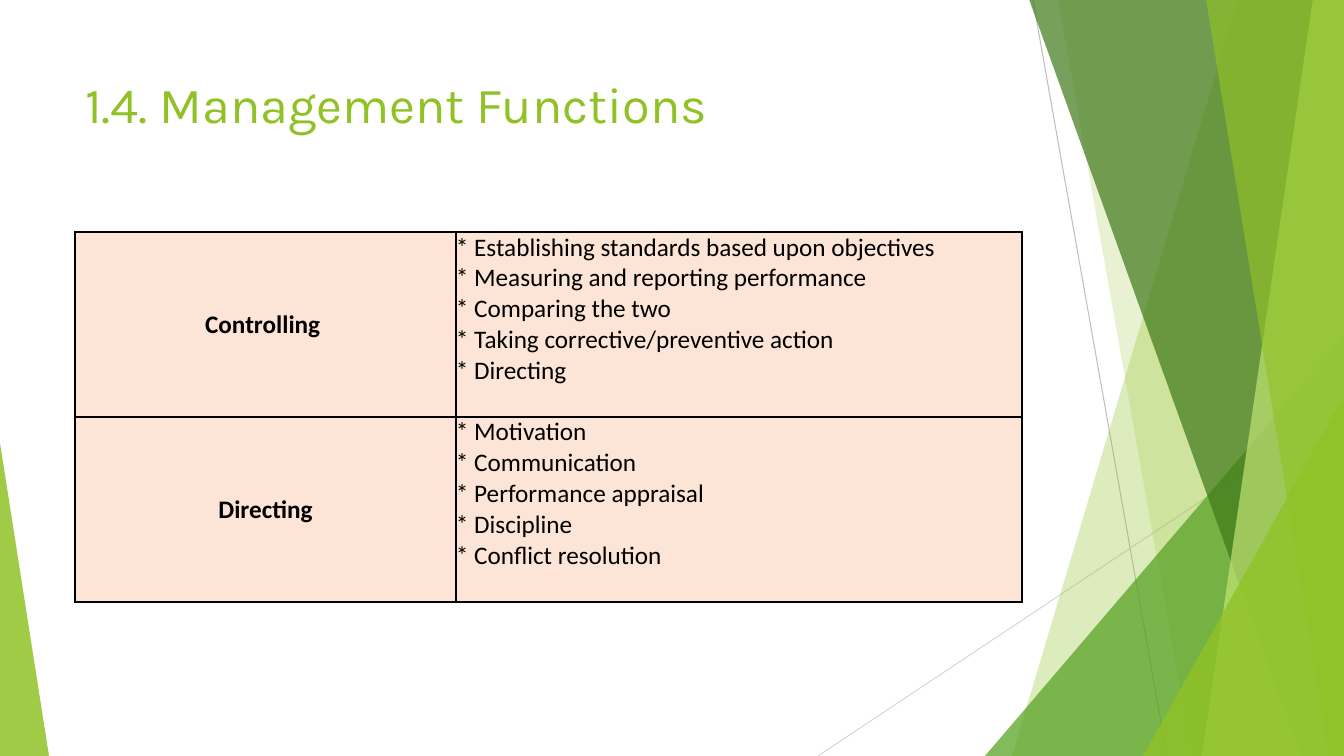
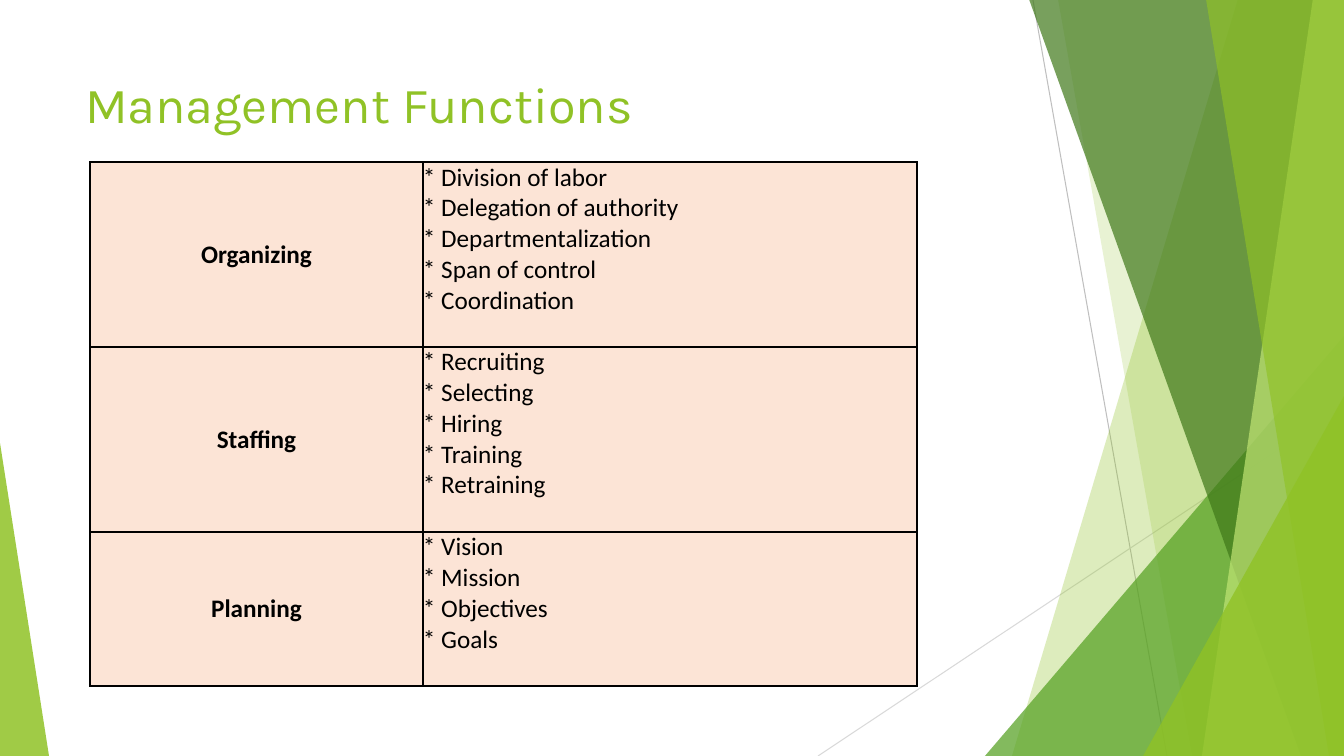
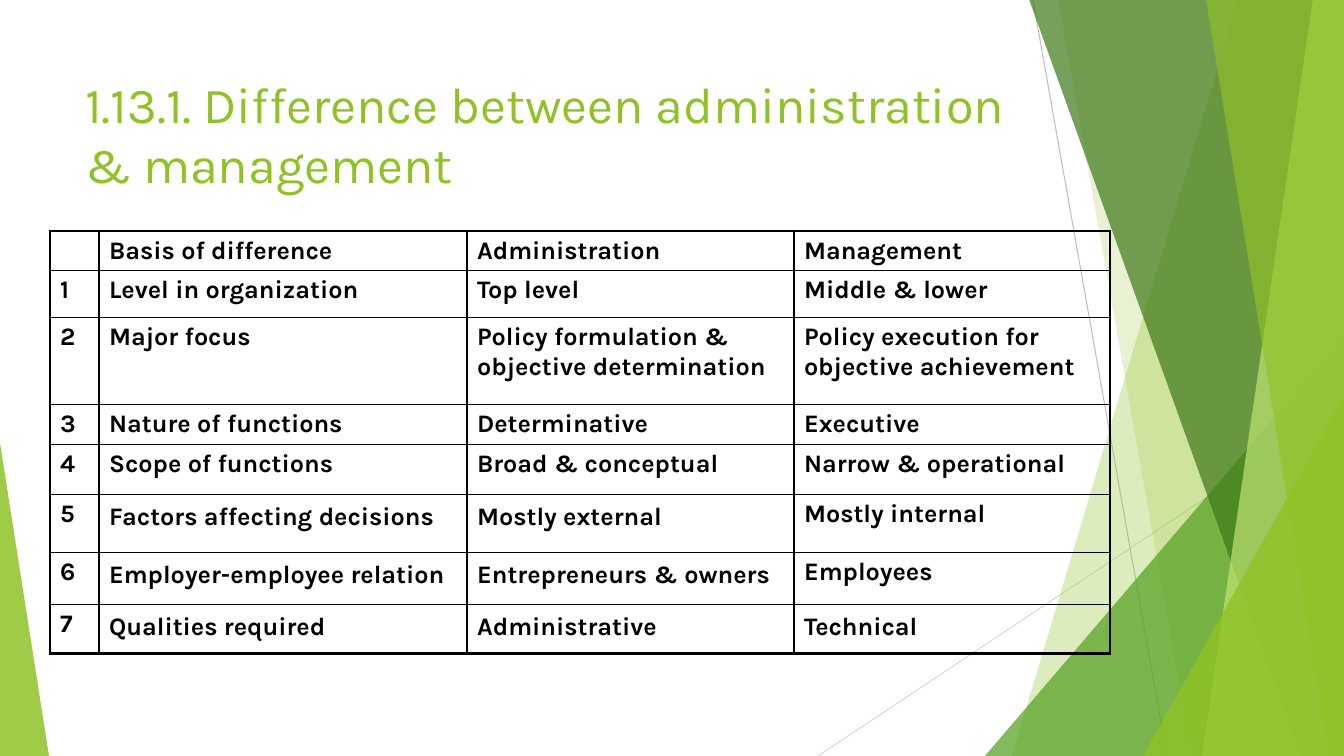
from lxml.etree import SubElement
from pptx import Presentation
from pptx.dml.color import RGBColor
from pptx.enum.shapes import MSO_CONNECTOR, MSO_SHAPE
from pptx.enum.text import MSO_ANCHOR, MSO_AUTO_SIZE, PP_ALIGN
from pptx.oxml import parse_xml
from pptx.oxml.ns import nsdecls, qn
from pptx.util import Pt

SCALE = 914400 / 100.8
WIDE, HIGH = 1344, 756
LIME, LEAF, MOSS, PALE = "90C226", "54A021", "3F7819", "C0E474"
INK, PEACH = "000000", "FCE4D6"


def px(size):
    return round(size * SCALE)


def paint(fill, code):
    fill.solid()
    fill.fore_color.rgb = RGBColor.from_string(code)


class Deck:
    def __init__(self):
        self.show = Presentation()
        self.show.slide_width = px(WIDE)
        self.show.slide_height = px(HIGH)
        self.layout = self.show.slide_layouts[5]

    def page(self, title, high=145):
        self.slide = self.show.slides.add_slide(self.layout)
        box = self.slide.shapes.title
        box.left, box.top, box.width, box.height = map(px, (75, 68, 948, high))
        frame = box.text_frame
        frame.auto_size = MSO_AUTO_SIZE.NONE
        frame.word_wrap = True
        frame.vertical_anchor = MSO_ANCHOR.TOP
        para = frame.paragraphs[0]
        para.alignment = PP_ALIGN.LEFT
        self.run(para, title, "Karla", 36, LIME)

    def run(self, para, text, face, size=18, code=INK, bold=False):
        run = para.add_run()
        run.text = text
        run.font.name = face
        run.font.size = Pt(size)
        run.font.bold = bold
        paint(run.font.fill, code)

    def tint(self, shape, code, alpha):
        shape.shadow.inherit = False
        shape.line.fill.background()
        paint(shape.fill, code)
        color = shape.element.find(".//" + qn("a:srgbClr"))
        SubElement(color, qn("a:alpha")).set("val", str(alpha * 1000))

    def line(self, group, ends, code):
        line = group.shapes.add_connector(MSO_CONNECTOR.STRAIGHT, *map(px, ends))
        paint(line.line.fill, code)
        line.line.width = Pt(0.75)
        SubElement(line.element.find(qn("p:spPr")), qn("a:effectLst"))

    def band(self, group, top, foot, code, alpha):
        pen = group.shapes.build_freeform(px(top), px(-1))
        spots = ((WIDE, -1), (WIDE, HIGH), (foot, HIGH))
        pen.add_line_segments([(px(x), px(y)) for x, y in spots])
        self.tint(pen.convert_to_shape(), code, alpha)

    def peak(self, group, left, top, width, tip, code, alpha):
        area = map(px, (left, top, width, HIGH - top))
        shape = group.shapes.add_shape(MSO_SHAPE.ISOSCELES_TRIANGLE, *area)
        shape.adjustments[0] = tip
        self.tint(shape, code, alpha)

    def decor(self):
        group = self.slide.shapes.add_group_shape()
        self.line(group, (1033, 0, 1167, HIGH), "BFBFBF")
        self.line(group, (WIDE, 406, 818, HIGH), "D9D9D9")
        self.band(group, 1238, 1012, LIME, 30)
        self.band(group, 1058, 1192, LIME, 20)
        self.peak(group, 985, 336, 359, 1, LEAF, 72)
        self.band(group, 1029, 1301, MOSS, 70)
        self.band(group, 1313, 1202, PALE, 70)
        self.band(group, 1206, 1329, LIME, 65)
        self.peak(group, 1143, 396, 201, 1, LIME, 80)
        self.peak(group, 0, 443, 49, 0, LIME, 85)
        self.layout.shapes.element.insert(2, group.element)

    def grid(self, left, top, cols, rows):
        area = map(px, (left, top, sum(cols), sum(rows)))
        shape = self.slide.shapes.add_table(len(rows), len(cols), *area)
        table = shape.table
        table.first_row = table.horz_banding = False
        for col, width in zip(table.columns, cols):
            col.width = px(width)
        for row, high in zip(table.rows, rows):
            row.height = px(high)
        return shape

    def rule(self, shape, thin, thick):
        wide, high = len(shape.table.columns), len(shape.table.rows)
        for index, cell in enumerate(shape.element.iter(qn("a:tcPr"))):
            row, col = divmod(index, wide)
            edges = {"L": col == 0, "R": col == wide - 1,
                     "T": row == 0, "B": row == high - 1}
            for place, (side, outer) in enumerate(edges.items()):
                width = Pt(thick if outer else thin)
                cell.insert(place, parse_xml(
                    f'<a:ln{side} {nsdecls("a")} w="{width}"><a:solidFill>'
                    f'<a:srgbClr val="{INK}"/></a:solidFill></a:ln{side}>'))

    def duties(self, left, top, cols, rows, items):
        shape = self.grid(left, top, cols, rows)
        for row, (name, tasks) in zip(shape.table.rows, items):
            head, body = row.cells
            for cell in row.cells:
                paint(cell.fill, PEACH)
                cell.margin_left = cell.margin_right = 0
                cell.margin_top = cell.margin_bottom = 0
            head.vertical_anchor = MSO_ANCHOR.MIDDLE
            para = head.text_frame.paragraphs[0]
            para.alignment = PP_ALIGN.CENTER
            self.run(para, name, "Calibri", bold=True)
            frame = body.text_frame
            for index, task in enumerate(tasks):
                para = frame.add_paragraph() if index else frame.paragraphs[0]
                self.run(para, "* " + task, "Calibri")
        self.rule(shape, 1.2, 1.2)

    def matrix(self, left, top, cols, rows, items):
        shape = self.grid(left, top, cols, rows)
        for row, texts in zip(shape.table.rows, items):
            for cell, text in zip(row.cells, texts):
                cell.fill.background()
                para = cell.text_frame.paragraphs[0]
                self.run(para, text.rstrip(), "Karla", bold=True)
                if text.endswith(" "):
                    self.run(para, " ", "Karla", 20)
        self.rule(shape, 1, 2.25)


def main():
    deck = Deck()
    deck.page("1.4. Management Functions", 100)
    deck.decor()
    deck.duties(75, 232, (381, 566), (185, 185), (
        ("Controlling ", ("Establishing standards based upon objectives",
                          "Measuring and reporting performance",
                          "Comparing the two",
                          "Taking corrective/preventive action",
                          "Directing")),
        ("Directing", ("Motivation", "Communication", "Performance appraisal",
                       "Discipline", "Conflict resolution")),
    ))

    deck.page("Management Functions")
    deck.duties(90, 162, (333, 494), (185, 185, 154), (
        ("Organizing", ("Division of labor", "Delegation of authority",
                        "Departmentalization", "Span of control",
                        "Coordination")),
        ("Staffing", ("Recruiting", "Selecting", "Hiring", "Training",
                      "Retraining")),
        ("Planning", ("Vision", "Mission", "Objectives", "Goals")),
    ))

    deck.page("1.13.1. Difference between administration & management")
    deck.matrix(50, 231, (49, 368, 327, 316), (39, 47, 87, 39, 50, 58, 52, 49), (
        ("", "Basis of difference", "Administration", "Management"),
        ("1", "Level in organization", "Top level", "Middle & lower"),
        ("2", "Major focus", "Policy formulation & objective determination",
         "Policy execution for objective achievement"),
        ("3", "Nature of functions", "Determinative", "Executive"),
        ("4", "Scope of functions", "Broad & conceptual",
         "Narrow & operational"),
        ("5", "Factors affecting decisions ", "Mostly external ",
         "Mostly internal"),
        ("6", "Employer-employee relation ", "Entrepreneurs & owners ",
         "Employees"),
        ("7", "Qualities required ", "Administrative ", "Technical "),
    ))
    deck.show.save("out.pptx")


if __name__ == "__main__":
    main()
